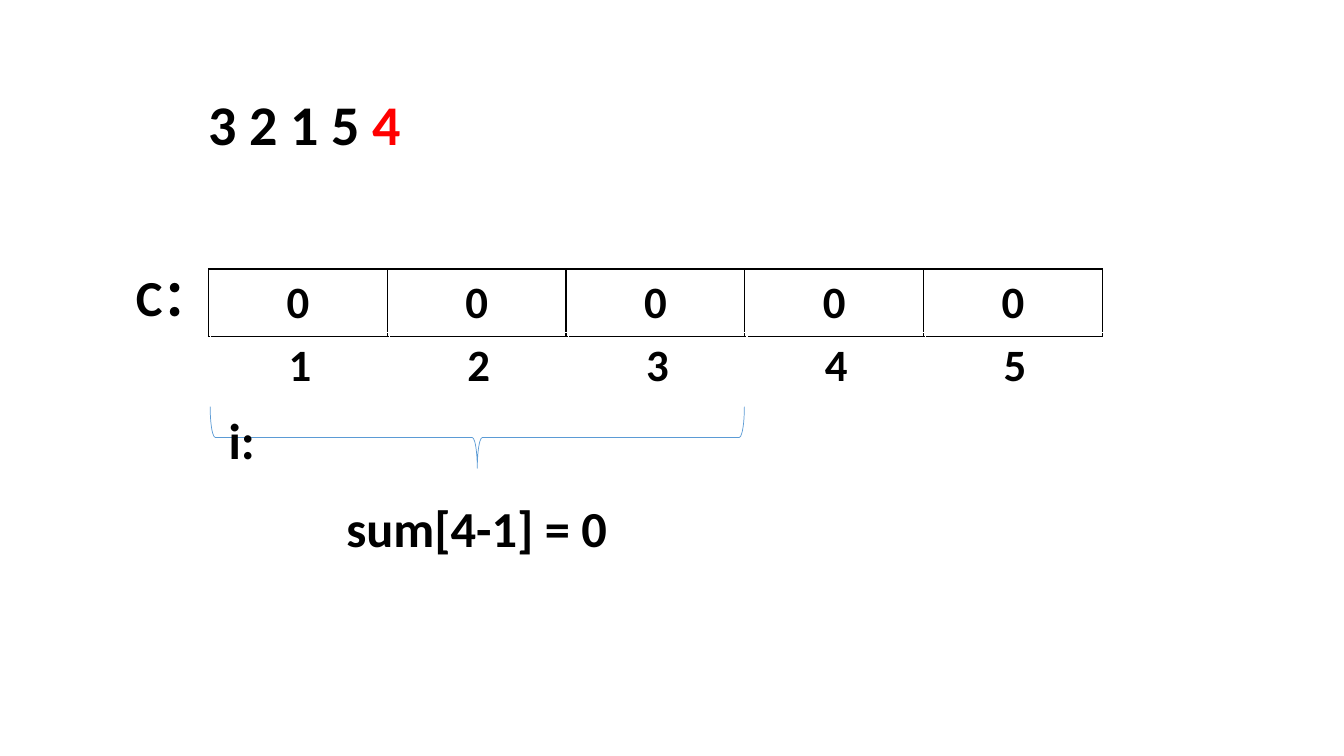
from lxml import etree
from pptx import Presentation
from pptx.dml.color import RGBColor
from pptx.enum import shapes, text
from pptx.oxml import ns
from pptx.util import Pt

BLACK = RGBColor(0x00, 0x00, 0x00)
WHITE = RGBColor(0xFF, 0xFF, 0xFF)
RED = RGBColor(0xFF, 0x00, 0x00)
BLUE = RGBColor(0x5B, 0x9B, 0xD5)

CELL_WIDTH = 127.7
ROW_HEIGHT = 48.2


class SlideBuilder:
    font = "Calibri"

    def __init__(self, slide):
        self.slide = slide

    def add_run(self, paragraph, words, size, color=BLACK):
        run = paragraph.add_run()
        run.text = words
        run.font.name = self.font
        run.font.size = Pt(size)
        run.font.bold = True
        run.font.color.rgb = color

    def text_box(self, left, top, width, height, runs, size=36,
                 align=text.PP_ALIGN.LEFT):
        """Add one paragraph made of (words, color) runs."""
        box = self.slide.shapes.add_textbox(
            Pt(left), Pt(top), Pt(width), Pt(height))
        frame = box.text_frame
        frame.word_wrap = True
        frame.auto_size = text.MSO_AUTO_SIZE.SHAPE_TO_FIT_TEXT
        paragraph = frame.paragraphs[0]
        paragraph.alignment = align
        for words, color in runs:
            self.add_run(paragraph, words, size, color)

    def border_cell(self, cell, color, bottom_width):
        properties = cell._tc.get_or_add_tcPr()
        widths = {"lnL": 1, "lnR": 1, "lnT": 1, "lnB": bottom_width}
        for position, (edge, width) in enumerate(widths.items()):
            line = etree.Element(ns.qn(f"a:{edge}"), w=str(Pt(width)))
            fill = etree.SubElement(line, ns.qn("a:solidFill"))
            etree.SubElement(fill, ns.qn("a:srgbClr"), val=str(color))
            properties.insert(position, line)

    def table_row(self, left, top, values, border_color, bottom_width=1):
        table = self.slide.shapes.add_table(
            1, len(values), Pt(left), Pt(top),
            Pt(CELL_WIDTH * len(values)), Pt(ROW_HEIGHT)).table
        table.first_row = False
        table.horz_banding = False
        for column, value in enumerate(values):
            table.columns[column].width = Pt(CELL_WIDTH)
            cell = table.cell(0, column)
            cell.fill.background()
            cell.vertical_anchor = text.MSO_ANCHOR.MIDDLE
            paragraph = cell.text_frame.paragraphs[0]
            paragraph.alignment = text.PP_ALIGN.CENTER
            self.add_run(paragraph, str(value), 32)
            self.border_cell(cell, border_color, bottom_width)

    def brace_below(self, left, top, width, height):
        """Add a brace that opens upward, by turning a right brace."""
        shift = (width - height) / 2
        brace = self.slide.shapes.add_shape(
            shapes.MSO_SHAPE.RIGHT_BRACE,
            Pt(left + shift), Pt(top - shift), Pt(height), Pt(width))
        brace.rotation = 90
        brace.shadow.inherit = False
        brace.fill.background()
        brace.line.color.rgb = BLUE
        brace.line.width = Pt(0.5)


def main():
    presentation = Presentation()
    presentation.slide_width = Pt(960)
    presentation.slide_height = Pt(540)
    blank_layout = presentation.slide_layouts[6]
    builder = SlideBuilder(presentation.slides.add_slide(blank_layout))

    builder.table_row(149, 192.2, [0] * 5, BLACK)
    builder.table_row(150.5, 237.6, range(1, 6), WHITE, bottom_width=3)
    builder.text_box(141.8, 60.5, 647.3, 56,
                     [("3 2 1 5 ", BLACK), ("4", RED)], size=40)
    builder.brace_below(150.1, 290.5, 381.6, 44)
    builder.text_box(220.3, 351.4, 240.5, 51, [("sum[4-1] = 0", BLACK)],
                     align=text.PP_ALIGN.CENTER)
    builder.text_box(90, 186.5, 72, 51, [("C：", BLACK)])
    builder.text_box(156.2, 288.7, 59.8, 51, [("i:", BLACK)])

    presentation.save("out.pptx")


if __name__ == "__main__":
    main()
